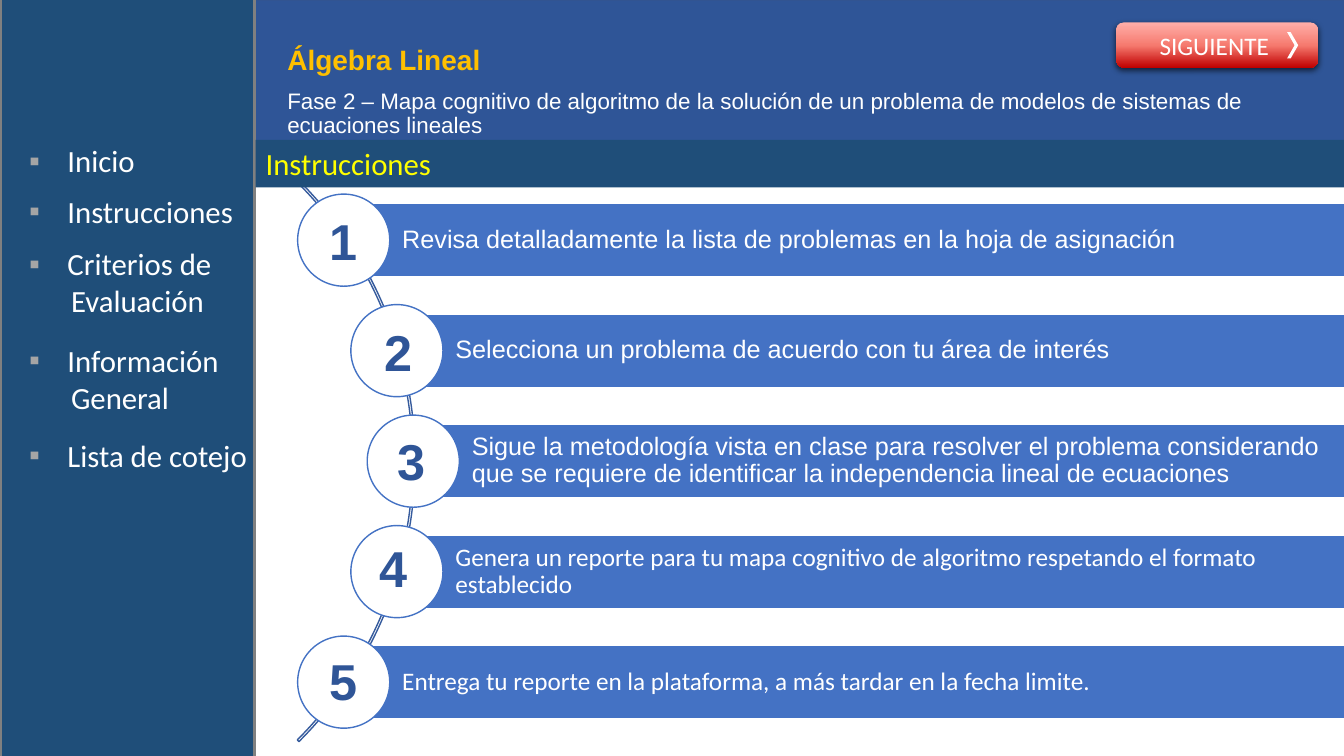
from copy import deepcopy

from pptx import Presentation
from pptx.dml.color import RGBColor
from pptx.enum.shapes import MSO_SHAPE as Shape
from pptx.enum.text import MSO_ANCHOR as Anchor, MSO_AUTO_SIZE as AutoSize, PP_ALIGN as Align
from pptx.oxml import parse_xml
from pptx.oxml.ns import nsdecls, qn
from pptx.util import Pt

WHITE = RGBColor(0xFF, 0xFF, 0xFF)
NAVY = RGBColor(0x1F, 0x4E, 0x79)
HEADER_BLUE = RGBColor(0x2F, 0x55, 0x97)
HEADER_LINE = RGBColor(0x32, 0x54, 0x91)
STEP_BLUE = RGBColor(0x44, 0x72, 0xC4)
ARC_BLUE = RGBColor(0x36, 0x5B, 0x9D)
GRAY = RGBColor(0x80, 0x80, 0x80)
GOLD = RGBColor(0xFF, 0xC0, 0x00)
YELLOW = RGBColor(0xFF, 0xFF, 0x00)
BUTTON_REDS = [RGBColor(0xFF, 0xAF, 0xA9), RGBColor(0xF6, 0x7B, 0x70), RGBColor(0xC0, 0x00, 0x00)]

TITLE = "Álgebra Lineal"
SUBTITLE = ("Fase 2 – Mapa cognitivo de algoritmo de la solución de un problema "
            "de modelos de sistemas de ecuaciones lineales")
# text, font, bar left, number left, number top
STEPS = [
    ("Revisa detalladamente la lista de problemas en la hoja de asignación", "Arial", 245.5, 228.2, 146.2),
    ("Selecciona un problema de acuerdo con tu área de interés", "Arial", 283.5, 267.8, 226),
    ("Sigue la metodología vista en clase para resolver el problema considerando que se requiere "
     "de identificar la independencia lineal de ecuaciones", "Arial", 295.2, 277.2, 303.8),
    ("Genera un reporte para tu mapa cognitivo de algoritmo respetando el formato establecido",
     "Calibri", 283.5, 264.2, 380.2),
    ("Entrega tu reporte en la plataforma, a más tardar en la fecha limite.", "Calibri", 245.5, 228.2, 460.8),
]
# lines, top, width
MENU = [
    (["Inicio"], 98, 90),
    (["Instrucciones"], 134, 161.3),
    (["Criterios de", "Evaluación"], 171.4, 145.4),
    (["Información", "General"], 240.5, 150.5),
    (["Lista de cotejo"], 308.2, 171.4),
]

ARC_CENTER_X, ARC_CENTER_Y, ARC_SIZE = 13.3, 329.4, 566.6
STEP_PITCH, BAR_HEIGHT, CIRCLE_SIZE, BAR_RIGHT = 78.93, 52.4, 65.8, 962.3
MENU_LEFT, MENU_INDENT, CONTINUATION_INDENT = 13.7, 27.4, 30

presentation = Presentation()
presentation.slide_width, presentation.slide_height = Pt(960), Pt(540)
slide = presentation.slides.add_slide(presentation.slide_layouts[1])


def add_shape(kind, left, top, width, height, fill=None, line=None, line_width=1):
    shape = slide.shapes.add_shape(kind, Pt(left), Pt(top), Pt(width), Pt(height))
    shape.shadow.inherit = False
    if fill is None:
        shape.fill.background()
    else:
        shape.fill.solid()
        shape.fill.fore_color.rgb = fill
    if line is None:
        shape.line.fill.background()
    else:
        shape.line.color.rgb = line
        shape.line.width = Pt(line_width)
    return shape


def add_textbox(left, top, width, height, wrap=True):
    box = slide.shapes.add_textbox(Pt(left), Pt(top), Pt(width), Pt(height))
    box.text_frame.word_wrap = wrap
    return box


def write(paragraph, text, size, font, color, bold=False, align=Align.LEFT):
    paragraph.text = text
    paragraph.alignment = align
    paragraph.font.size = Pt(size)
    paragraph.font.name = font
    paragraph.font.color.rgb = color
    paragraph.font.bold = bold


def set_indent(paragraph, margin, first_line, bullet=None):
    properties = paragraph._p.get_or_add_pPr()
    properties.set("marL", str(Pt(margin)))
    properties.set("indent", str(Pt(first_line)))
    if bullet is None:
        properties.append(parse_xml(f"<a:buNone {nsdecls('a')}/>"))
        return
    properties.append(parse_xml(f'<a:buClr {nsdecls("a")}><a:srgbClr val="A5A5A5"/></a:buClr>'))
    properties.append(parse_xml(f'<a:buFont {nsdecls("a")} typeface="Arial"/>'))
    properties.append(parse_xml(f'<a:buChar {nsdecls("a")} char="{bullet}"/>'))


def fill_placeholder(shape, box, anchor, text, size, color, bold):
    shape.left, shape.top, shape.width, shape.height = map(Pt, box)
    frame = shape.text_frame
    frame.auto_size = AutoSize.NONE
    frame.word_wrap = True
    frame.vertical_anchor = anchor
    paragraph = frame.paragraphs[0]
    paragraph.line_spacing = 0.9
    paragraph.space_before = Pt(0)
    set_indent(paragraph, 0, 0)
    write(paragraph, text, size, "Arial", color, bold)


def add_step(index, text, font, left):
    center = ARC_CENTER_Y + (index - (len(STEPS) - 1) / 2) * STEP_PITCH
    bar = add_shape(Shape.RECTANGLE, left, center - BAR_HEIGHT / 2, BAR_RIGHT - left, BAR_HEIGHT,
                    STEP_BLUE, WHITE)
    frame = bar.text_frame
    frame.vertical_anchor = Anchor.MIDDLE
    frame.margin_left = Pt(41.8)
    frame.margin_right = frame.margin_top = frame.margin_bottom = Pt(3.6)
    paragraph = frame.paragraphs[0]
    paragraph.line_spacing = 0.9
    write(paragraph, text, 18, font, WHITE)
    add_shape(Shape.OVAL, left - CIRCLE_SIZE / 2, center - CIRCLE_SIZE / 2, CIRCLE_SIZE, CIRCLE_SIZE,
              WHITE, STEP_BLUE)


def add_menu_item(lines, top, width):
    frame = add_textbox(MENU_LEFT, top, width, 7.2 + 26.7 * len(lines), wrap=False).text_frame
    for index, line in enumerate(lines):
        if index == 0:
            paragraph = frame.paragraphs[0]
            set_indent(paragraph, MENU_INDENT, -MENU_INDENT, "▪")
        else:
            paragraph = frame.add_paragraph()
            set_indent(paragraph, CONTINUATION_INDENT, 0)
        write(paragraph, line, 22, "Calibri", WHITE)


def add_next_button():
    button = add_shape(Shape.ROUNDED_RECTANGLE, 797.4, 16, 144, 32.4)
    button.fill.gradient()
    button.fill.gradient_angle = 270
    properties = button._element.spPr
    stops = properties.find(qn("a:gradFill")).find(qn("a:gsLst"))
    stops.append(deepcopy(stops[0]))
    for index, (stop, color) in enumerate(zip(button.fill.gradient_stops, BUTTON_REDS)):
        stop.color.rgb = color
        stop.position = index / 2
    properties.find(qn("a:effectLst")).append(parse_xml(
        f'<a:outerShdw {nsdecls("a")} blurRad="{Pt(4.5)}" dist="{Pt(1.5)}" dir="5400000" rotWithShape="0">'
        '<a:srgbClr val="000000"><a:alpha val="63000"/></a:srgbClr></a:outerShdw>'))
    frame = button.text_frame
    frame.vertical_anchor = Anchor.MIDDLE
    frame.margin_right = Pt(11.2)
    write(frame.paragraphs[0], "SIGUIENTE", 18, "Calibri", WHITE, align=Align.CENTER)
    chevron = add_shape(Shape.CHEVRON, 919.4, 23, 7.9, 18.7, WHITE)
    chevron.adjustments[0] = 0.68


header = add_shape(Shape.RECTANGLE, 174.2, 0, 785.8, 103.7, HEADER_BLUE, HEADER_LINE)
sidebar = add_shape(Shape.RECTANGLE, 0, -4, 182, 548, NAVY, GRAY, 2.25)
# Both panels lie behind the placeholders
for position, panel in enumerate((header, sidebar), start=2):
    slide.shapes._spTree.insert(position, panel._element)

title, body = slide.placeholders
fill_placeholder(title, (198, 28.8, 696.2, 29.5), Anchor.MIDDLE, TITLE, 20, GOLD, True)
fill_placeholder(body, (198, 60.5, 697, 27.4), Anchor.TOP, SUBTITLE, 16, WHITE, False)

arc = add_shape(Shape.BLOCK_ARC, ARC_CENTER_X - ARC_SIZE / 2, ARC_CENTER_Y - ARC_SIZE / 2,
                ARC_SIZE, ARC_SIZE, line=ARC_BLUE)
for index, value in enumerate((189, 27, 0.003)):
    arc.adjustments[index] = value

for index, (text, font, bar_left, number_left, number_top) in enumerate(STEPS):
    add_step(index, text, font, bar_left)
    number = add_textbox(number_left, number_top, 28.8, 51)
    write(number.text_frame.paragraphs[0], str(index + 1), 36, "Arial", HEADER_BLUE, bold=True)

section_bar = add_shape(Shape.RECTANGLE, 182.6, 100, 777.4, 33.9, NAVY)
section_bar.text_frame.vertical_anchor = Anchor.TOP
write(section_bar.text_frame.paragraphs[0], "Instrucciones", 22, "Calibri", YELLOW)

for item in MENU:
    add_menu_item(*item)
add_next_button()

presentation.save("out.pptx")
